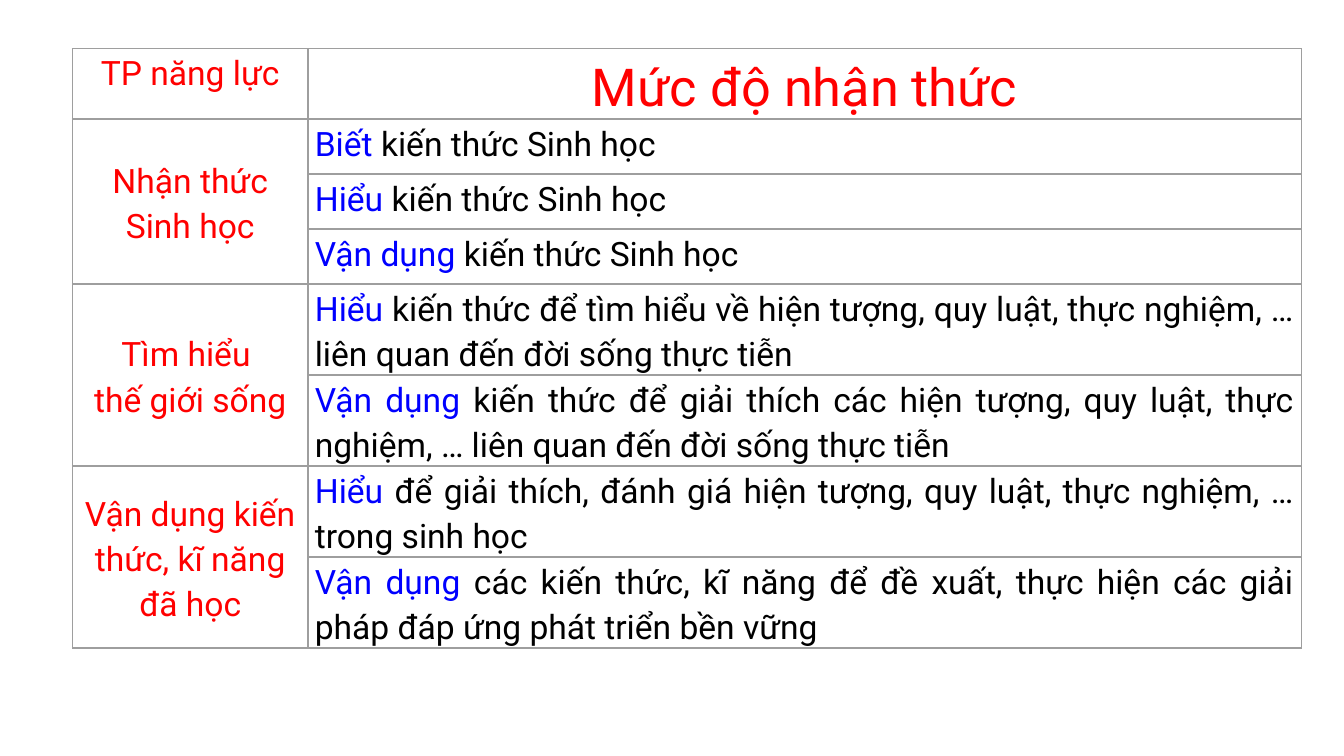
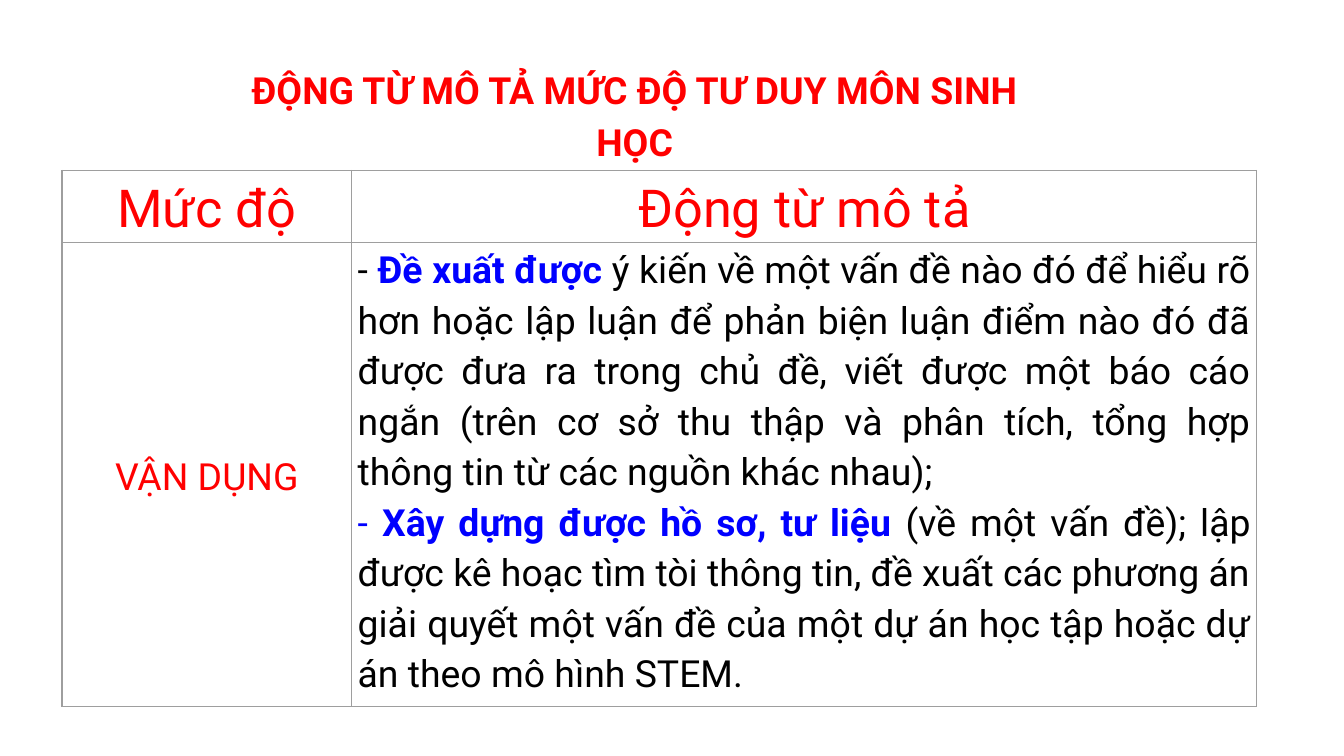
import lxml.etree
import pptx
import pptx.dml.color
import pptx.enum.text
import pptx.oxml.ns
import pptx.util

Cm = pptx.util.Cm
Pt = pptx.util.Pt
RGBColor = pptx.dml.color.RGBColor
ALIGN = pptx.enum.text.PP_ALIGN
ANCHOR = pptx.enum.text.MSO_ANCHOR
qn = pptx.oxml.ns.qn

RED = RGBColor(0xFF, 0x00, 0x00)
BLUE = RGBColor(0x00, 0x00, 0xFF)
BLACK = RGBColor(0x00, 0x00, 0x00)
GREY = RGBColor(0x9E, 0x9E, 0x9E)
FONT = "Roboto"
LINE_SPACING = 1.15
HEADING_SIZE = 28

COMPETENCES = [
    (["Nhận thức Sinh học"], [
        ("Biết ", "kiến thức Sinh học"),
        ("Hiểu ", "kiến thức Sinh học"),
        ("Vận dụng ", "kiến thức Sinh học"),
    ]),
    (["Tìm hiểu ", "thế giới sống"], [
        ("Hiểu ", "kiến thức để tìm hiểu về hiện tượng, quy luật, thực nghiệm, … "
                  "liên quan đến đời sống thực tiễn"),
        ("Vận dụng ", "kiến thức để giải thích các hiện tượng, quy luật, thực nghiệm, … "
                      "liên quan đến đời sống thực tiễn"),
    ]),
    (["Vận dụng kiến thức, kĩ năng đã học"], [
        ("Hiểu ", "để giải thích, đánh giá hiện tượng, quy luật, thực nghiệm, …trong sinh học"),
        ("Vận dụng ", "các kiến thức, kĩ năng để đề xuất, thực hiện các giải pháp "
                      "đáp ứng phát triển bền vững"),
    ]),
]

# Each verb line: colour of the dash, the verb, the rest of the sentence.
VERBS = [
    (BLACK, "Đề xuất được ",
     "ý kiến về một vấn đề nào đó để hiểu rõ hơn hoặc lập luận để phản biện luận điểm nào đó "
     "đã được đưa ra trong chủ đề, viết được một báo cáo ngắn (trên cơ sở thu thập và "
     "phân tích, tổng hợp thông tin từ các nguồn khác nhau);"),
    (BLUE, "Xây dựng được hồ sơ, tư liệu ",
     "(về một vấn đề); lập được kê hoạc tìm tòi thông tin, đề xuất các phương án giải quyết "
     "một vấn đề của một dự án học tập hoặc dự án theo mô hình STEM."),
]


def write(frame, paragraphs, size, align):
    """Fill a text frame; each paragraph is a list of (text, colour, bold) runs."""
    for index, runs in enumerate(paragraphs):
        paragraph = frame.paragraphs[0] if index == 0 else frame.add_paragraph()
        paragraph.alignment = align
        paragraph.line_spacing = LINE_SPACING
        for text, colour, bold in runs:
            run = paragraph.add_run()
            run.text = text
            for name, value in {"name": FONT, "size": Pt(size), "bold": bold}.items():
                setattr(run.font, name, value)
            run.font.color.rgb = colour


def label(cell, lines, size, anchor=ANCHOR.MIDDLE):
    """Write red centred lines in a cell."""
    cell.vertical_anchor = anchor
    write(cell.text_frame, [[(line, RED, False)] for line in lines], size, ALIGN.CENTER)


def outline(cell):
    properties = cell._tc.get_or_add_tcPr()
    for index, side in enumerate(("a:lnL", "a:lnR", "a:lnT", "a:lnB")):
        line = lxml.etree.Element(qn(side), w=str(Pt(0.75)))
        fill = lxml.etree.SubElement(line, qn("a:solidFill"))
        lxml.etree.SubElement(fill, qn("a:srgbClr"), val=str(GREY))
        properties.insert(index, line)


def add_grid(slide, left, top, widths, heights, inset):
    """Add an unfilled table with thin grey borders; lengths in cm."""
    table = slide.shapes.add_table(
        len(heights), len(widths), Cm(left), Cm(top), Cm(sum(widths)), Cm(sum(heights))).table
    for flag in ("first_row", "horz_banding"):
        setattr(table, flag, False)
    for column, width in zip(table.columns, widths):
        column.width = Cm(width)
    for row, height in zip(table.rows, heights):
        row.height = Cm(height)
    margins = {"margin_left": inset, "margin_right": inset, "margin_top": 0, "margin_bottom": 0}
    for cell in table.iter_cells():
        for name, value in margins.items():
            setattr(cell, name, Cm(value))
        cell.fill.background()
        outline(cell)
    return table


def add_levels_table(slide, left, top):
    table = add_grid(slide, left, top, [4.45, 18.77], [1.32] + [1.04] * 3 + [1.72] * 4, 0.13)
    label(table.cell(0, 0), ["TP năng lực"], 18, ANCHOR.TOP)
    label(table.cell(0, 1), ["Mức độ nhận thức"], HEADING_SIZE, ANCHOR.TOP)
    first = 1
    for competence, levels in COMPETENCES:
        last = first + len(levels) - 1
        table.cell(first, 0).merge(table.cell(last, 0))
        label(table.cell(first, 0), competence, 18)
        for row, (level, detail) in enumerate(levels, first):
            write(table.cell(row, 1).text_frame,
                  [[(level, BLUE, False), (detail, BLACK, False)]], 18, ALIGN.JUSTIFY)
        first = last + 1


def add_title(slide, left, top, width, height):
    box = slide.shapes.add_textbox(Cm(left), Cm(top), Cm(width), Cm(height))
    frame = box.text_frame
    frame.word_wrap = True
    frame.auto_size = pptx.enum.text.MSO_AUTO_SIZE.SHAPE_TO_FIT_TEXT
    write(frame, [[("ĐỘNG TỪ MÔ TẢ MỨC ĐỘ TƯ DUY MÔN SINH HỌC", RED, True)]], 20, ALIGN.CENTER)
    frame.paragraphs[0].space_after = Pt(6.2)


def add_verbs_table(slide, left, top):
    table = add_grid(slide, left, top, [5.48, 17.1], [1.36, 8.77], 0.11)
    for column, heading in enumerate(("Mức độ", "Động từ mô tả")):
        label(table.cell(0, column), [heading], HEADING_SIZE, ANCHOR.TOP)
    label(table.cell(1, 0), ["VẬN DỤNG"], 20)
    write(table.cell(1, 1).text_frame,
          [[("- ", dash, False), (verb, BLUE, True), (detail, BLACK, False)]
           for dash, verb, detail in VERBS], 20, ALIGN.JUSTIFY)


def main():
    deck = pptx.Presentation()
    deck.slide_width, deck.slide_height = Cm(25.4), Cm(14.29)
    blank = deck.slide_layouts[6]

    add_levels_table(deck.slides.add_slide(blank), 1.37, 0.92)

    verbs_slide = deck.slides.add_slide(blank)
    add_title(verbs_slide, 4.11, 1.02, 15.77, 1.19)
    add_verbs_table(verbs_slide, 1.17, 3.22)

    deck.save("out.pptx")


if __name__ == "__main__":
    main()
